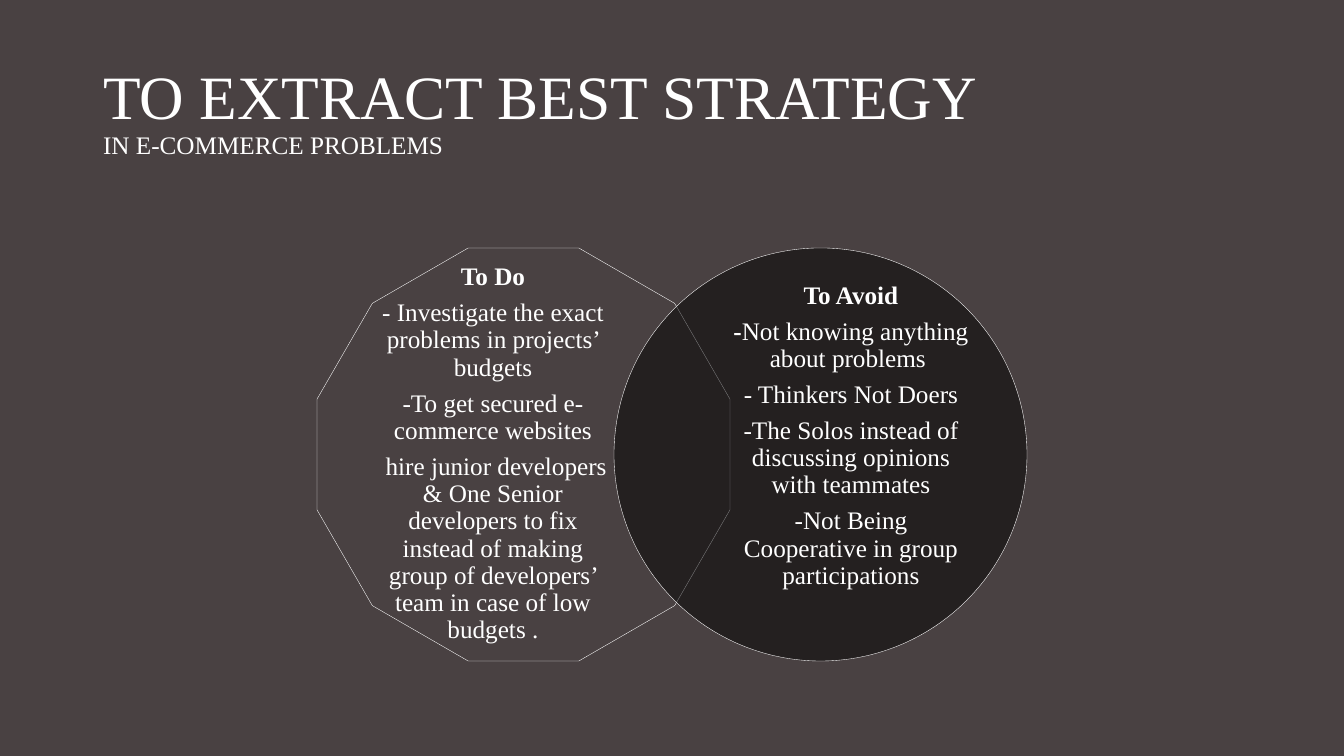
from pptx import Presentation
from pptx.dml.color import RGBColor
from pptx.enum.shapes import MSO_SHAPE
from pptx.enum.text import MSO_ANCHOR, MSO_AUTO_SIZE, PP_ALIGN
from pptx.oxml.ns import qn
from pptx.util import Emu, Pt
from lxml import etree

DODECAGON, OVAL = MSO_SHAPE.DODECAGON, MSO_SHAPE.OVAL
MIDDLE, NO_AUTOFIT = MSO_ANCHOR.MIDDLE, MSO_AUTO_SIZE.NONE
LEFT, CENTER = PP_ALIGN.LEFT, PP_ALIGN.CENTER

THEME = {
    "font": "Times New Roman",
    "background": RGBColor(0x49, 0x41, 0x42),
    "text": RGBColor(0xFF, 0xFF, 0xFF),
    "overlay": RGBColor(0, 0, 0),
    "title_size": Pt(44),
    "body_size": Pt(18),
    "outline": Pt(0.25),
}
EMU_PER_PX = 914400 / 100.8


def px(length):
    return Emu(round(length * EMU_PER_PX))


def style_paragraph(paragraph, size, alignment):
    paragraph.alignment = alignment
    paragraph.line_spacing = 0.9
    paragraph.font.name = THEME["font"]
    paragraph.font.size = size
    paragraph.font.color.rgb = THEME["text"]


presentation = Presentation()
presentation.slide_width, presentation.slide_height = px(1344), px(756)
slide = presentation.slides.add_slide(presentation.slide_layouts[5])
slide.background.fill.solid()
slide.background.fill.fore_color.rgb = THEME["background"]

# Title with a smaller second line
title = slide.shapes.title
title.left, title.top, title.width, title.height = px(93), px(40), px(1159), px(146)
title.text_frame.auto_size = NO_AUTOFIT
title.text_frame.vertical_anchor = MIDDLE
paragraph = title.text_frame.paragraphs[0]
style_paragraph(paragraph, THEME["title_size"], LEFT)
paragraph.add_run().text = "TO EXTRACT BEST STRATEGY"
paragraph.add_line_break()
subtitle = paragraph.add_run()
subtitle.text = "IN E-COMMERCE PROBLEMS"
subtitle.font.size = THEME["body_size"]

# Venn sets: outline, its left edge, fill opacity, text position, (bold, regular) lines
VENN_TOP, VENN_SIZE = 248, 413
TEXT_WIDTH, TEXT_HEIGHT = 238, 316
venn_sets = [
    (DODECAGON, 317, 0, 374, 296, [
        ("To Do", ""),
        ("", "- Investigate the exact problems in projects’ budgets"),
        ("", "-To get secured e-commerce websites"),
        ("", " hire junior developers & One Senior developers to fix instead of "
             "making group of developers’ team in case of low budgets ."),
    ]),
    (OVAL, 614, 50, 732, 278, [
        ("To Avoid", ""),
        ("-", "Not knowing anything about problems "),
        ("", "- Thinkers Not Doers"),
        ("", "-The Solos instead of discussing opinions with teammates"),
        ("", "-Not Being Cooperative in group participations"),
    ]),
]

for outline, left, opacity, text_left, text_top, lines in venn_sets:
    shape = slide.shapes.add_shape(
        outline, px(left), px(VENN_TOP), px(VENN_SIZE), px(VENN_SIZE))
    shape.shadow.inherit = False
    shape.line.color.rgb = THEME["text"]
    shape.line.width = THEME["outline"]
    if opacity:
        shape.fill.solid()
        shape.fill.fore_color.rgb = THEME["overlay"]
        color = shape.fill._xPr.find(qn("a:solidFill"))[0]
        etree.SubElement(color, qn("a:alpha"), val=str(opacity * 1000))
    else:
        shape.fill.background()

    # Text of the set
    text_box = slide.shapes.add_textbox(
        px(text_left), px(text_top), px(TEXT_WIDTH), px(TEXT_HEIGHT))
    frame = text_box.text_frame
    frame.word_wrap = True
    frame.vertical_anchor = MIDDLE
    frame.margin_left = frame.margin_top = frame.margin_right = frame.margin_bottom = 0
    for index, (bold_text, regular_text) in enumerate(lines):
        paragraph = frame.add_paragraph() if index else frame.paragraphs[0]
        style_paragraph(paragraph, THEME["body_size"], CENTER)
        paragraph.space_after = Pt(6.3)
        for text, bold in ((bold_text, True), (regular_text, False)):
            if text:
                run = paragraph.add_run()
                run.text = text
                run.font.bold = bold

presentation.save("out.pptx")
